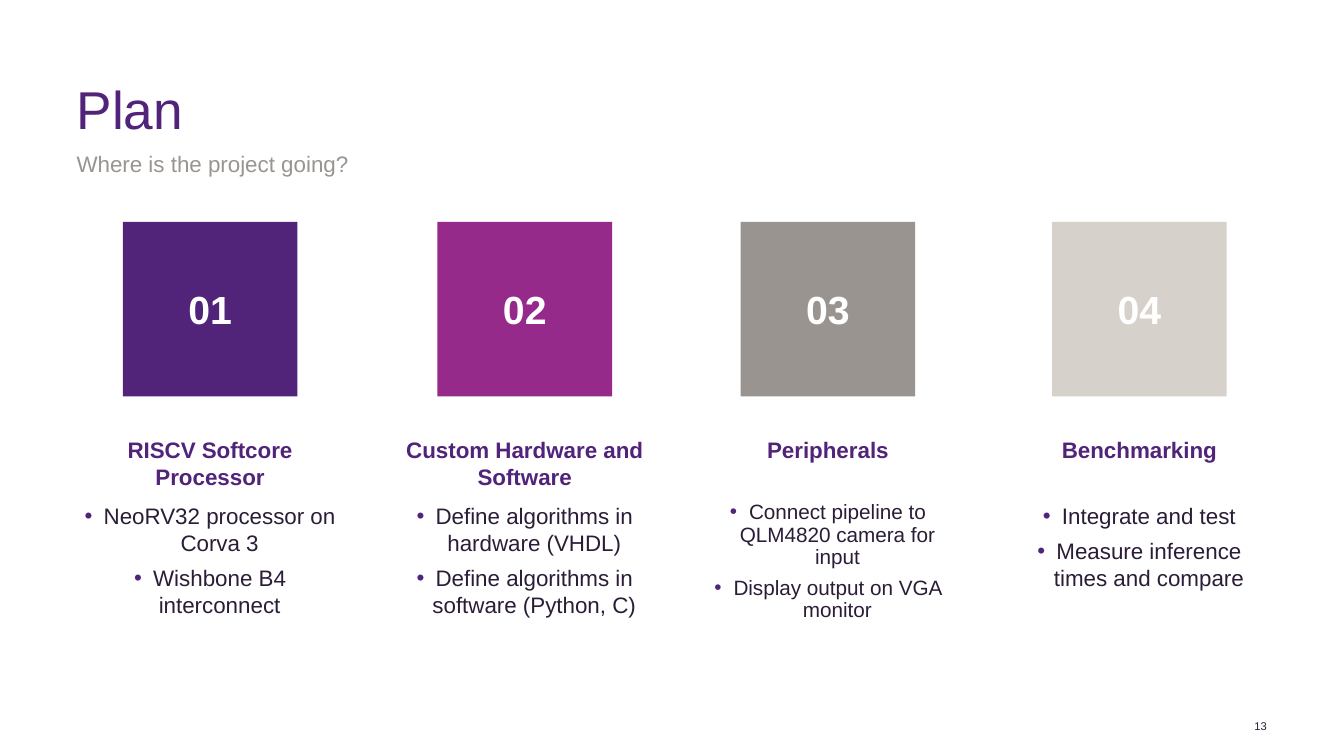
"""Build the four-step project plan slide."""
from dataclasses import dataclass

from lxml import etree
from pptx import Presentation
from pptx.dml.color import RGBColor
from pptx.enum import shapes, text
from pptx.oxml import ns
from pptx.util import Cm, Pt


@dataclass(frozen=True)
class Theme:
    """Hold the colours, font and type sizes of the slide."""
    font: str = "Arial"
    purple: str = "51247A"
    magenta: str = "962A8B"
    grey: str = "999490"
    sand: str = "D7D1CC"
    ink: str = "2B1D37"
    white: str = "FFFFFF"
    title: float = 38
    number: float = 28
    body: float = 16
    compact: float = 14.8
    footer: float = 8


THEME = Theme()
CENTER = text.PP_ALIGN.CENTER
COLUMN_WIDTH = 6.53
SQUARE_SIDE = 4.4

STEPS = [
    (2.03, THEME.purple, "RISCV Softcore Processor", THEME.body, None,
     ["NeoRV32 processor on Corva 3", "Wishbone B4 interconnect"]),
    (9.96, THEME.magenta, "Custom Hardware and Software", THEME.body, None,
     ["Define algorithms in hardware (VHDL)",
      "Define algorithms in software (Python, C)"]),
    (17.6, THEME.grey, "Peripherals", THEME.compact, 0.9,
     ["Connect pipeline to QLM4820 camera for input",
      "Display output on VGA monitor"]),
    (25.45, THEME.sand, "Benchmarking", THEME.body, None,
     ["Integrate and test", "Measure inference times and compare"]),
]


def write(shape, lines, size, color, bold=False, align=text.PP_ALIGN.LEFT,
          anchor=text.MSO_ANCHOR.TOP, spacing=None, before=0, after=0):
    """Fill a shape with equally formatted paragraphs and return them."""
    frame = shape.text_frame
    frame.word_wrap = True
    frame.auto_size = text.MSO_AUTO_SIZE.NONE
    frame.vertical_anchor = anchor
    frame.margin_left = frame.margin_right = Cm(0)
    frame.margin_top = frame.margin_bottom = Cm(0)
    frame.text = "\n".join(lines)
    for paragraph in frame.paragraphs:
        paragraph.alignment = align
        paragraph.line_spacing = spacing
        paragraph.space_before = Pt(before)
        paragraph.space_after = Pt(after)
        paragraph.font.name = THEME.font
        paragraph.font.size = Pt(size)
        paragraph.font.bold = bold
        paragraph.font.color.rgb = RGBColor.from_string(color)
    return frame.paragraphs


def add_text(slide, left, top, width, height, lines, size, color, **style):
    """Add a text box and return its paragraphs."""
    box = slide.shapes.add_textbox(Cm(left), Cm(top), Cm(width), Cm(height))
    return write(box, lines, size, color, **style)


def add_bullet(paragraph):
    """Give a paragraph a purple bullet with a hanging indent."""
    properties = paragraph._p.get_or_add_pPr()
    properties.set("marL", str(Cm(0.48)))
    properties.set("indent", str(-Cm(0.48)))
    color = etree.Element(ns.qn("a:buClr"))
    etree.SubElement(color, ns.qn("a:srgbClr"), val=THEME.purple)
    font = etree.Element(ns.qn("a:buFont"), typeface=THEME.font)
    bullet = etree.Element(ns.qn("a:buChar"), char="•")
    defaults = properties.find(ns.qn("a:defRPr"))
    for element in (color, font, bullet):
        defaults.addprevious(element)


def add_square(slide, left, number, fill):
    """Add a numbered square."""
    square = slide.shapes.add_shape(
        shapes.MSO_SHAPE.RECTANGLE,
        Cm(left), Cm(5.59), Cm(SQUARE_SIDE), Cm(SQUARE_SIDE))
    square.shadow.inherit = False
    square.fill.solid()
    square.fill.fore_color.rgb = RGBColor.from_string(fill)
    square.line.fill.background()
    write(square, [f"{number:02d}"], THEME.number, THEME.white, bold=True,
          align=CENTER, anchor=text.MSO_ANCHOR.MIDDLE)


def add_step(slide, number, left, fill, heading, size, spacing, points):
    """Add one column: square, heading and bullet points."""
    add_square(slide, left + (COLUMN_WIDTH - SQUARE_SIDE) / 2, number, fill)
    add_text(slide, left, 11, COLUMN_WIDTH, 0.66, [heading], THEME.body,
             THEME.purple, bold=True, align=CENTER, before=3, after=12)
    paragraphs = add_text(slide, left, 12.65, COLUMN_WIDTH, 3.3, points, size,
                          THEME.ink, align=CENTER, spacing=spacing,
                          before=3, after=3)
    for paragraph in paragraphs:
        add_bullet(paragraph)


def add_title(slide, wording):
    """Place and format the title placeholder."""
    title = slide.shapes.title
    title.left, title.top = Cm(1.93), Cm(2.11)
    title.width, title.height = Cm(26.6), Cm(1.3)
    write(title, [wording], THEME.title, THEME.purple, spacing=0.9)


def main():
    """Build and save the slide."""
    presentation = Presentation()
    presentation.slide_width = Cm(33.87)
    presentation.slide_height = Cm(19.05)
    slide = presentation.slides.add_slide(presentation.slide_layouts[5])
    add_title(slide, "Plan")
    add_text(slide, 1.93, 3.78, 26.6, 1.4, ["Where is the project going?"],
             THEME.body, THEME.grey, before=3, after=12)
    for number, step in enumerate(STEPS, start=1):
        add_step(slide, number, *step)
    add_text(slide, 31.14, 18.14, 0.79, 0.3, ["13"], THEME.footer, THEME.ink,
             align=text.PP_ALIGN.RIGHT, anchor=text.MSO_ANCHOR.MIDDLE)
    presentation.save("out.pptx")


if __name__ == "__main__":
    main()
